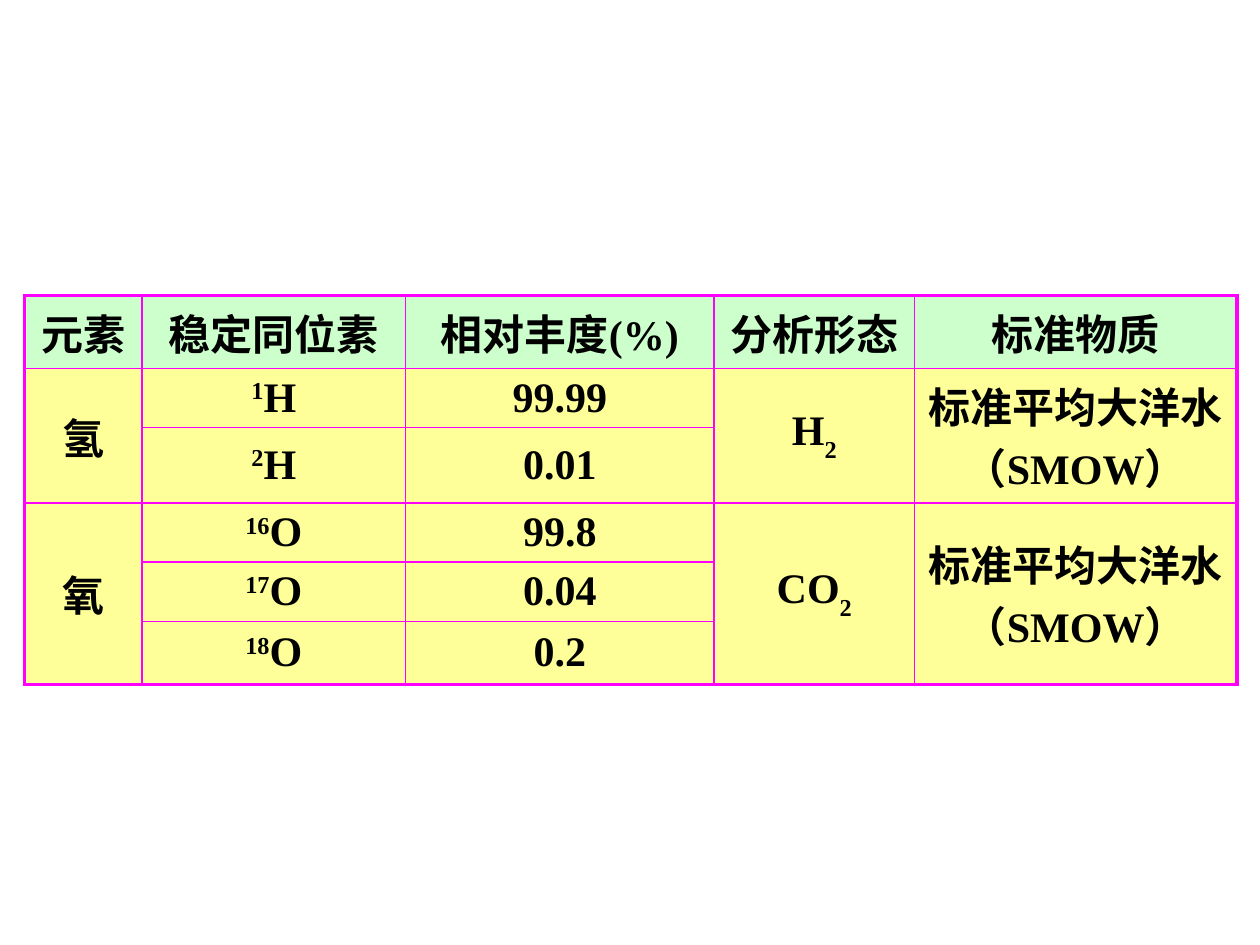
from lxml import etree
from pptx import Presentation, util as u
from pptx.dml.color import RGBColor
from pptx.enum import text
from pptx.oxml.ns import qn

MAGENTA, GREEN, YELLOW, BLACK = "FF00FF", "CCFFCC", "FFFF99", "000000"
FONT = {"name": "Times New Roman", "size": u.Pt(24), "bold": True}
SUPER, SUB = 30000, -30000
COLUMN_WIDTHS = [67, 150.5, 176.4, 114.5, 184.3]
ROW_HEIGHTS = [35.3, 25.9, 25.9, 25.9, 25.9, 36]
HEADINGS = ["元素", "稳定同位素", "相对丰度(%)", "分析形态", "标准物质"]
STANDARD = "标准平均大洋水（SMOW）"

# Element, symbol, isotopes (mass number, abundance), analysed form
ELEMENTS = [
    ("氢", "H", [("1", "99.99"), ("2", "0.01")], "H"),
    ("氧", "O", [("16", "99.8"), ("17", "0.04"), ("18", "0.2")], "CO"),
]


def color(value):
    return RGBColor.from_string(value)


def add_border(cell, side, width):
    line = etree.SubElement(cell._tc.get_or_add_tcPr(), qn(f"a:ln{side}"),
                            w=str(u.Pt(width)))
    fill = etree.SubElement(line, qn("a:solidFill"))
    etree.SubElement(fill, qn("a:srgbClr"), val=MAGENTA)


def style_cell(table, row, column, fill):
    """Draw the grid lines, thicker on the outer frame, and fill the cell."""
    cell = table.cell(row, column)
    span = cell.span_height if cell.is_merge_origin else 1
    outer = {
        "L": column == 0,
        "R": column == len(COLUMN_WIDTHS) - 1,
        "T": row == 0,
        "B": row + span == len(ROW_HEIGHTS),
    }
    for side, is_outer in outer.items():
        add_border(cell, side, 2 if is_outer else 1)
    cell.fill.solid()
    cell.fill.fore_color.rgb = color(fill)
    cell.vertical_anchor = text.MSO_ANCHOR.MIDDLE


def write_cell(cell, *parts):
    """Write centred runs; each part is (wording, baseline shift)."""
    paragraph = cell.text_frame.paragraphs[0]
    paragraph.alignment = text.PP_ALIGN.CENTER
    for wording, baseline in parts:
        run = paragraph.add_run()
        run.text = wording
        for name, value in FONT.items():
            setattr(run.font, name, value)
        run.font.color.rgb = color(BLACK)
        if baseline:
            run._r.get_or_add_rPr().set("baseline", str(baseline))


def add_isotope_table(slide, left, top, width, height):
    frame = slide.shapes.add_table(
        len(ROW_HEIGHTS), len(COLUMN_WIDTHS),
        u.Pt(left), u.Pt(top), u.Pt(width), u.Pt(height))
    table = frame.table
    for column, column_width in zip(table.columns, COLUMN_WIDTHS):
        column.width = u.Pt(column_width)
    for row, row_height in zip(table.rows, ROW_HEIGHTS):
        row.height = u.Pt(row_height)
    frame.width, frame.height = u.Pt(width), u.Pt(height)

    # Header row
    for column, heading in enumerate(HEADINGS):
        write_cell(table.cell(0, column), (heading, 0))

    # One group of rows per element
    first = 1
    for element, symbol, isotopes, form in ELEMENTS:
        last = first + len(isotopes) - 1
        for column in (0, 3, 4):
            table.cell(first, column).merge(table.cell(last, column))
        write_cell(table.cell(first, 0), (element, 0))
        write_cell(table.cell(first, 3), (form, 0), ("2", SUB))
        write_cell(table.cell(first, 4), (STANDARD, 0))
        for row, (mass, abundance) in enumerate(isotopes, first):
            write_cell(table.cell(row, 1), (mass, SUPER), (symbol, 0))
            write_cell(table.cell(row, 2), (abundance, 0))
        first = last + 1

    # Borders and fills
    for row in range(len(ROW_HEIGHTS)):
        for column in range(len(COLUMN_WIDTHS)):
            style_cell(table, row, column, YELLOW if row else GREEN)


def main():
    presentation = Presentation()
    presentation.slide_width, presentation.slide_height = u.Pt(720), u.Pt(540)
    slide = presentation.slides.add_slide(presentation.slide_layouts[6])
    add_isotope_table(slide, 14.2, 168.6, 692, 216)
    presentation.save("out.pptx")


if __name__ == "__main__":
    main()
